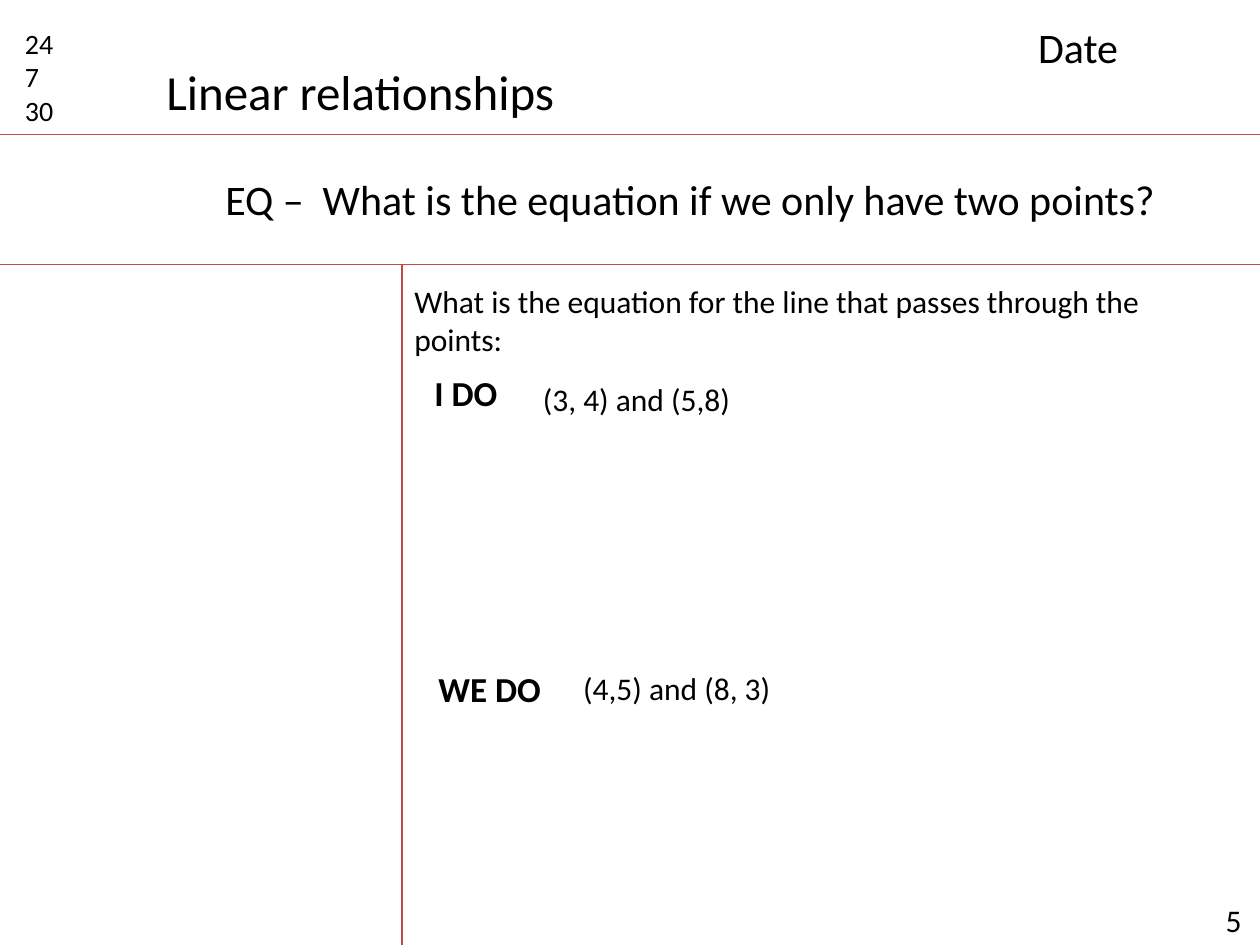
from lxml import etree
from pptx import Presentation
from pptx.dml.color import RGBColor
from pptx.enum import shapes, text
from pptx.oxml import ns
from pptx.util import Inches, Pt

BLACK, RED = "000000", "BF4C48"


def write(box, content, size=18, bold=False, wrap=True):
    """Fill a box with one paragraph per line of content."""
    frame = box.text_frame
    frame.text = content
    frame.word_wrap = wrap
    frame.auto_size = text.MSO_AUTO_SIZE.NONE
    frame.vertical_anchor = text.MSO_ANCHOR.TOP
    for para in frame.paragraphs:
        para.alignment = text.PP_ALIGN.LEFT
        for span in para.runs:
            span.font.name = "Calibri"
            span.font.size = Pt(size)
            span.font.bold = bold
            span.font.color.rgb = RGBColor.from_string(BLACK)


deck = Presentation()
deck.slide_width, deck.slide_height = Inches(10), Inches(7.5)
page = deck.slides.add_slide(deck.slide_layouts[5])

# Rules of the note-taking grid
header_y, question_y, margin_x = 1.07, 2.1, 3.19
for x1, y1, x2, y2 in [
    (0, header_y, 10, header_y),
    (0, question_y, 10, question_y),
    (margin_x, question_y, margin_x, 7.69),
]:
    rule = page.shapes.add_connector(
        shapes.MSO_CONNECTOR.STRAIGHT,
        Inches(x1), Inches(y1), Inches(x2), Inches(y2))
    rule.line.color.rgb = RGBColor.from_string(RED)
    rule.line.width = Pt(0.75)
    etree.SubElement(rule.line._get_or_add_ln().getparent(), ns.qn("a:effectLst"))

title = page.shapes.title
title.left, title.top = Inches(1.22), Inches(0.44)
title.width, title.height = Inches(3.32), Inches(0.57)
write(title, "Linear relationships", size=28, wrap=False)

question = "EQ –  What is the equation if we only have two points?"
task = "What is the equation for the line that passes through the points:"
for left, top, width, height, content, style in [
    (0.1, 0.16, 0.63, 0.91, "24\n7\n30", {"size": 16}),
    (8.14, 0.12, 1.73, 0.5, "Date", {"size": 24}),
    (1.69, 1.33, 9.43, 0.5, question, {"size": 24}),
    (margin_x, 2.19, 6.68, 0.71, task, {}),
    (3.35, 2.9, 0.77, 0.44, "I DO", {"size": 20, "bold": True, "wrap": False}),
    (4.21, 2.97, 1.71, 0.4, "(3, 4) and (5,8)", {"wrap": False}),
    (3.38, 5.25, 1.09, 0.44, "WE DO", {"size": 20, "bold": True, "wrap": False}),
    (4.53, 5.26, 1.71, 0.4, "(4,5) and (8, 3)", {"wrap": False}),
    (9.63, 7.1, 0.37, 0.4, "5", {}),
]:
    box = page.shapes.add_textbox(
        Inches(left), Inches(top), Inches(width), Inches(height))
    write(box, content, **style)

deck.save("out.pptx")
